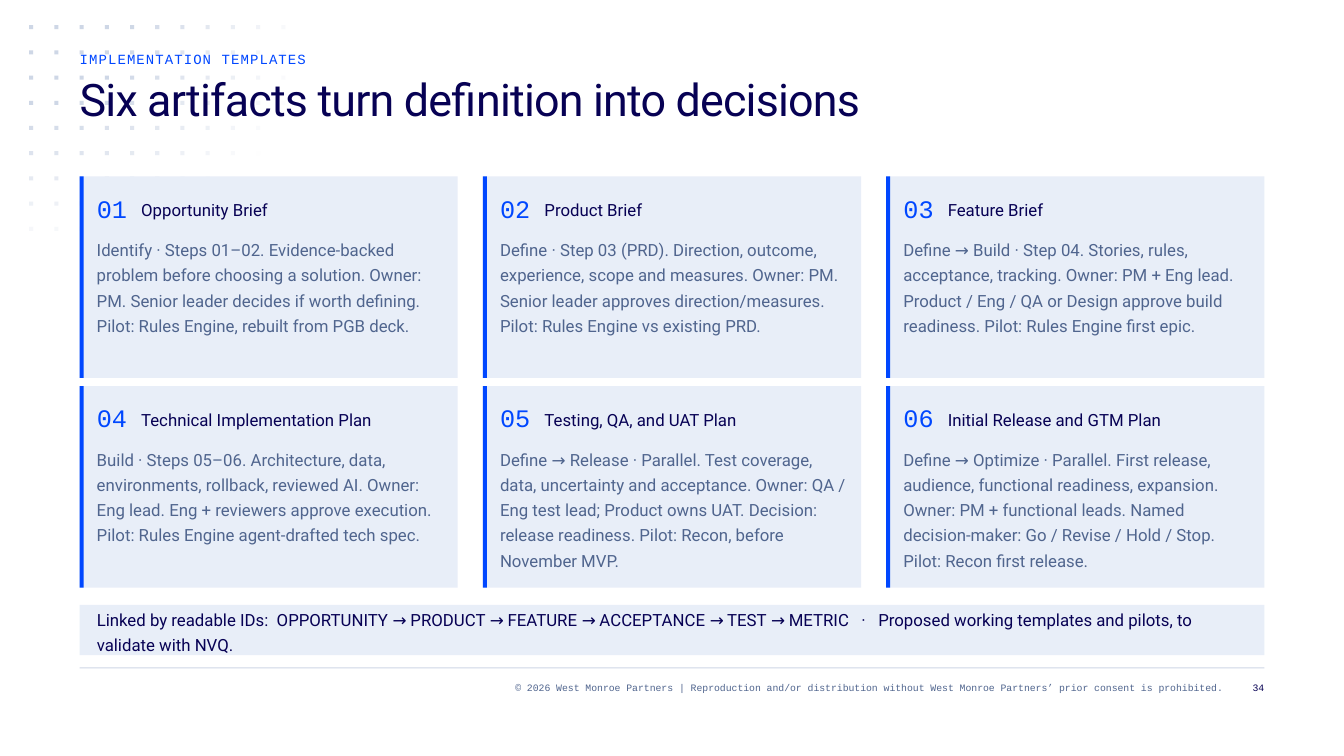
from dataclasses import dataclass
from math import hypot

from lxml.etree import SubElement
from pptx import Presentation
from pptx.dml.color import RGBColor as Color
from pptx.enum.shapes import MSO_SHAPE as Shape
from pptx.enum.text import PP_ALIGN as Align
from pptx.oxml.ns import qn
from pptx.util import Inches, Pt


@dataclass(frozen=True)
class Theme:
    sans: str = "Roboto"
    mono: str = "Courier New"
    navy: str = "070154"
    blue: str = "0047FF"
    slate: str = "50658E"
    panel: str = "E8EEF8"
    mist: str = "CED7E6"
    title: int = 32
    number: int = 18
    body: int = 12
    kicker: int = 10
    footer: int = 7


LEFT, WIDTH = 0.79, 11.75
CARD_TOP, CARD_WIDTH, CARD_HEIGHT = 1.75, 3.75, 2
COLUMN_STEP, ROW_STEP = 4, 2.08
LINE = 0.25

ARTIFACTS = [
    ("Opportunity Brief", 4,
     "Identify · Steps 01–02. Evidence-backed problem before choosing a solution. Owner: PM. "
     "Senior leader decides if worth defining. Pilot: Rules Engine, rebuilt from PGB deck."),
    ("Product Brief", 4,
     "Define · Step 03 (PRD). Direction, outcome, experience, scope and measures. Owner: PM. "
     "Senior leader approves direction/measures. Pilot: Rules Engine vs existing PRD."),
    ("Feature Brief", 4,
     "Define → Build · Step 04. Stories, rules, acceptance, tracking. Owner: PM + Eng lead. "
     "Product / Eng / QA or Design approve build readiness. Pilot: Rules Engine first epic."),
    ("Technical Implementation Plan", 4,
     "Build · Steps 05–06. Architecture, data, environments, rollback, reviewed AI. Owner: "
     "Eng lead. Eng + reviewers approve execution. Pilot: Rules Engine agent-drafted tech spec."),
    ("Testing, QA, and UAT Plan", 5,
     "Define → Release · Parallel. Test coverage, data, uncertainty and acceptance. Owner: QA / "
     "Eng test lead; Product owns UAT. Decision: release readiness. Pilot: Recon, before "
     "November MVP."),
    ("Initial Release and GTM Plan", 5,
     "Define → Optimize · Parallel. First release, audience, functional readiness, expansion. "
     "Owner: PM + functional leads. Named decision-maker: Go / Revise / Hold / Stop. "
     "Pilot: Recon first release."),
]
LINKS = ("Linked by readable IDs:  OPPORTUNITY → PRODUCT → FEATURE → ACCEPTANCE → TEST → METRIC"
         "   ·   Proposed working templates and pilots, to validate with NVQ.")
COPYRIGHT = ("© 2026 West Monroe Partners | Reproduction and/or distribution without "
             "West Monroe Partners’ prior consent is prohibited.")


class SlideBuilder:
    def __init__(self, page, theme):
        self.page = page
        self.theme = theme

    def block(self, target, left, top, width, height, color, opacity=100):
        shape = target.add_shape(Shape.RECTANGLE, Inches(left), Inches(top),
                                 Inches(width), Inches(height))
        shape.shadow.inherit = False
        shape.line.fill.background()
        shape.fill.solid()
        shape.fill.fore_color.rgb = Color.from_string(color)
        if opacity < 100:
            tint = shape.fill._xPr.find(qn("a:solidFill"))[0]
            SubElement(tint, qn("a:alpha")).set("val", str(opacity * 1000))

    def text(self, target, left, top, width, height, words, font, size, color, leading,
             align=Align.LEFT, tracking=0):
        box = target.add_textbox(Inches(left), Inches(top), Inches(width), Inches(height))
        frame = box.text_frame
        frame.word_wrap = True
        frame.margin_left = frame.margin_top = frame.margin_right = frame.margin_bottom = 0
        frame.text = words
        para = frame.paragraphs[0]
        para.alignment = align
        para.line_spacing = Pt(leading)
        span = para.runs[0]
        span.font.name = font
        span.font.size = Pt(size)
        span.font.color.rgb = Color.from_string(color)
        if tracking:
            span.font._element.set("spc", str(tracking))

    def dots(self):
        group = self.page.shapes.add_group_shape().shapes
        for column in range(11):
            for row in range(9 if column < 3 else 7):
                distance = hypot(column / 11.07, row / 9.08)
                opacity = min(100, int(153 * (1 - distance)))
                if opacity > 0:
                    self.block(group, 0.29 + 0.25 * column, 0.25 + 0.25 * row,
                               0.04, 0.04, self.theme.mist, opacity)

    def footer(self):
        theme, shapes = self.theme, self.page.shapes
        self.block(shapes, LEFT, 6.62, WIDTH, 0.01, theme.mist)
        for left, width, words, color in ((2.38, 9.75, COPYRIGHT, theme.slate),
                                          (12.21, 0.33, "34", theme.navy)):
            self.text(shapes, left, 6.75, width, LINE, words, theme.mono,
                      theme.footer, color, 9, Align.RIGHT)

    def heading(self, kicker, title):
        theme, shapes = self.theme, self.page.shapes
        self.text(shapes, LEFT, 0.75, 10.25, 1, title, theme.sans,
                  theme.title, theme.navy, 36, tracking=-60)
        self.text(shapes, LEFT, 0.5, 10.25, LINE, kicker, theme.mono,
                  theme.kicker, theme.blue, 12, tracking=80)

    def card(self, index, name, lines, summary):
        theme = self.theme
        group = self.page.shapes.add_group_shape().shapes
        row, column = divmod(index, 3)
        left, top = LEFT + column * COLUMN_STEP, CARD_TOP + row * ROW_STEP
        self.block(group, left, top, CARD_WIDTH, CARD_HEIGHT, theme.panel)
        self.block(group, left, top, 0.04, CARD_HEIGHT, theme.blue)
        self.text(group, left + 0.17, top + 0.13, 0.31, 0.33, f"{index + 1:02}",
                  theme.mono, theme.number, theme.blue, 24)
        self.text(group, left + 0.61, top + 0.18, 3.02, LINE, name,
                  theme.sans, theme.body, theme.navy, 18)
        self.text(group, left + 0.17, top + 0.58, 3.46, lines * LINE, summary,
                  theme.sans, theme.body, theme.slate, 18)

    def banner(self, words):
        theme = self.theme
        group = self.page.shapes.add_group_shape().shapes
        self.block(group, LEFT, 6, WIDTH, 0.5, theme.panel)
        self.text(group, LEFT + 0.17, 6, 11.42, 0.5, words,
                  theme.sans, theme.body, theme.navy, 18)


def main():
    deck = Presentation()
    deck.slide_width, deck.slide_height = Inches(13.33), Inches(7.5)
    page = deck.slides.add_slide(deck.slide_layouts[6])
    builder = SlideBuilder(page, Theme())
    builder.dots()
    builder.footer()
    for index, artifact in enumerate(ARTIFACTS):
        builder.card(index, *artifact)
    builder.banner(LINKS)
    builder.heading("IMPLEMENTATION TEMPLATES", "Six artifacts turn definition into decisions")
    deck.save("out.pptx")


if __name__ == "__main__":
    main()
